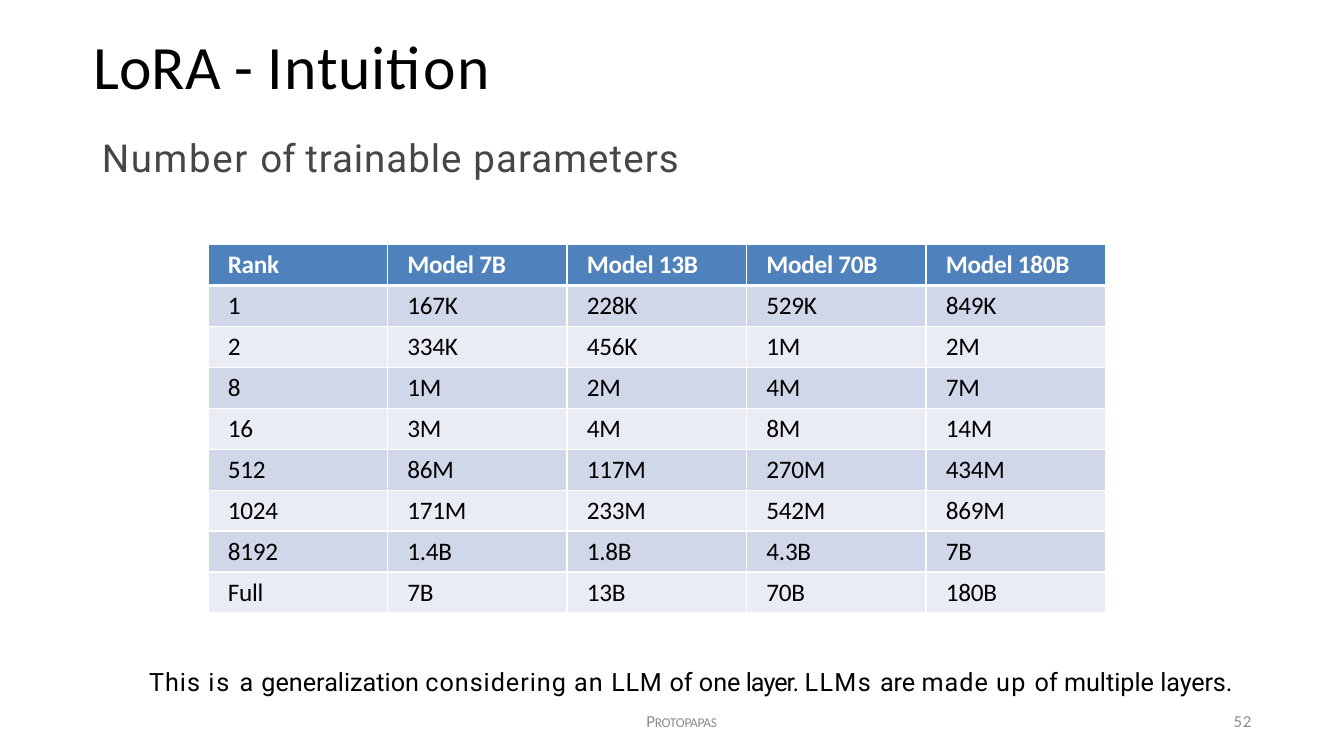
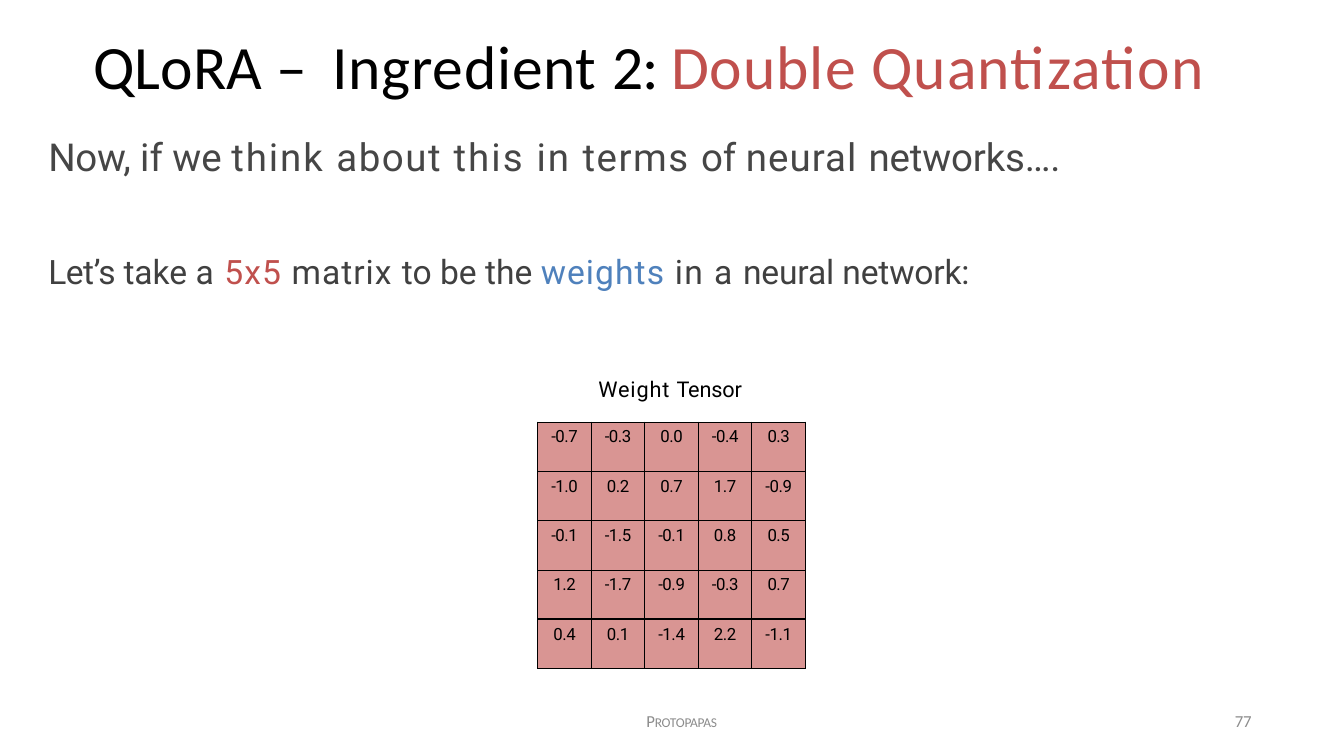
from dataclasses import dataclass
from typing import NamedTuple

from lxml import etree
from pptx import Presentation
from pptx.dml.color import RGBColor
from pptx.enum.text import MSO_ANCHOR, MSO_AUTO_SIZE, PP_ALIGN
from pptx.oxml.ns import qn
from pptx.util import Emu, Pt

LEFT, MID, RIGHT = PP_ALIGN.LEFT, PP_ALIGN.CENTER, PP_ALIGN.RIGHT
TOP, CENTER = MSO_ANCHOR.TOP, MSO_ANCHOR.MIDDLE
NO_FIT = MSO_AUTO_SIZE.NONE
SCALE = 9525
HEAD, BODY = "Calibri", "Roboto"
COLORS = {
    "black": "000000", "white": "FFFFFF", "slate": "464646", "dark": "404040",
    "gray": "8C8C8C", "red": "C0504D", "blue": "4F81BC", "rose": "D99593",
    "band": "D0D7E8", "pale": "E9ECF4",
}


class Bit(NamedTuple):
    """A run of text with its letter spacing and an optional colour."""
    text: str
    track: float = 0
    color: str = ""


@dataclass
class Look:
    """The shared type style of a paragraph or cell."""
    font: str
    size: float
    color: str
    align: PP_ALIGN = LEFT
    bold: bool = False
    small: bool = False


@dataclass
class Line:
    """A paragraph made of bits."""
    bits: list[Bit]
    look: Look
    gap: float = 0


@dataclass
class Box:
    """A text box in px."""
    left: int
    top: int
    width: int
    height: int
    lines: list[Line]
    anchor: MSO_ANCHOR = TOP


@dataclass
class Grid:
    """A table with equal cells in px and one heavy rule."""
    left: int
    top: int
    width: int
    height: int
    rows: list[list[str]]
    fills: list[str]
    looks: list[Look]
    track: float
    inset: int
    edge: str
    thin: float
    thick: float
    heavy: int


TITLE = Look(HEAD, 44, "black")
LEAD = Look(BODY, 27.5, "slate")
TEXT = Look(BODY, 24, "dark")
NOTE = Look(BODY, 18, "black")
LABEL = Look(BODY, 15.5, "black")
NAME = Look(HEAD, 12, "gray", MID, small=True)
PAGE = Look(HEAD, 12, "gray", RIGHT)
TOP_CELL = Look(HEAD, 18, "white", bold=True)
CELL = Look(HEAD, 18, "black")
WEIGHT = Look(BODY, 12, "black", MID)


def px(count: float) -> Emu:
    """Turn px into EMU."""
    return Emu(int(count * SCALE))


def style(run, look: Look, track: float, color: str = "") -> None:
    """Format one run."""
    font = run.font
    font.name, font.size, font.bold = look.font, Pt(look.size), look.bold
    font.color.rgb = RGBColor.from_string(COLORS[color or look.color])
    props = run._r.get_or_add_rPr()
    props.set("spc", str(round(track * 100)))
    if look.small:
        props.set("cap", "small")


def fill_text(frame, lines: list[Line], anchor: MSO_ANCHOR) -> None:
    """Write lines into a frame without margins."""
    frame.word_wrap, frame.auto_size = True, NO_FIT
    frame.vertical_anchor = anchor
    frame.margin_left = frame.margin_right = 0
    frame.margin_top = frame.margin_bottom = 0
    for rank, line in enumerate(lines):
        para = frame.add_paragraph() if rank else frame.paragraphs[0]
        para.alignment = line.look.align
        para.space_before = Pt(line.gap)
        for bit in line.bits:
            run = para.add_run()
            run.text = bit.text
            style(run, line.look, bit.track, bit.color)


def draw_box(slide, box: Box) -> None:
    """Draw a text box."""
    shape = slide.shapes.add_textbox(
        px(box.left), px(box.top), px(box.width), px(box.height))
    fill_text(shape.text_frame, box.lines, box.anchor)


def draw_edge(cell, side: str, color: str, width: float) -> None:
    """Add one border to a cell."""
    props = cell._tc.get_or_add_tcPr()
    line = etree.SubElement(props, qn(f"a:ln{side}"), w=str(int(Pt(width))))
    solid = etree.SubElement(line, qn("a:solidFill"))
    etree.SubElement(solid, qn("a:srgbClr"), val=COLORS[color])


def draw_grid(slide, grid: Grid) -> None:
    """Draw a table."""
    count, span = len(grid.rows), len(grid.rows[0])
    table = slide.shapes.add_table(
        count, span, px(grid.left), px(grid.top),
        px(grid.width * span), px(grid.height * count)).table
    table.first_row = table.horz_banding = False
    for col in table.columns:
        col.width = px(grid.width)
    for y, texts in enumerate(grid.rows):
        table.rows[y].height = px(grid.height)
        rules = {"L": grid.thin, "R": grid.thin,
                 "T": grid.thick if y == grid.heavy else grid.thin,
                 "B": grid.thick if y + 1 == grid.heavy else grid.thin}
        look = grid.looks[y]
        for x, text in enumerate(texts):
            cell = table.cell(y, x)
            cell.margin_left = px(grid.inset)
            for side, width in rules.items():
                draw_edge(cell, side, grid.edge, width)
            cell.fill.solid()
            cell.fill.fore_color.rgb = RGBColor.from_string(COLORS[grid.fills[y]])
            para = cell.text_frame.paragraphs[0]
            para.text = text
            para.alignment = look.align
            style(para.runs[0], look, grid.track)


def start(deck, title: list[Bit], page: Bit):
    """Add a slide with its title and footer."""
    slide = deck.slides.add_slide(deck.slide_layouts[5])
    head = slide.shapes.title
    head.left, head.top, head.width, head.height = map(px, (89, 26, 1104, 72))
    fill_text(head.text_frame, [Line(title, TITLE)], CENTER)
    name = Line([Bit("Protopapas", -0.2)], NAME)
    draw_box(slide, Box(432, 667, 432, 38, [name], CENTER))
    draw_box(slide, Box(904, 667, 288, 38, [Line([page], PAGE)], CENTER))
    return slide


RANKS = [
    ["Rank", "Model 7B", "Model 13B", "Model 70B", "Model 180B"],
    ["1", "167K", "228K", "529K", "849K"],
    ["2", "334K", "456K", "1M", "2M"],
    ["8", "1M", "2M", "4M", "7M"],
    ["16", "3M", "4M", "8M", "14M"],
    ["512", "86M", "117M", "270M", "434M"],
    ["1024", "171M", "233M", "542M", "869M"],
    ["8192", "1.4B", "1.8B", "4.3B", "7B"],
    ["Full", "7B", "13B", "70B", "180B"],
]
TENSOR = [
    ["-0.7", "-0.3", "0.0", "-0.4", "0.3"],
    ["-1.0", "0.2", "0.7", "1.7", "-0.9"],
    ["-0.1", "-1.5", "-0.1", "0.8", "0.5"],
    ["1.2", "-1.7", "-0.9", "-0.3", "0.7"],
    ["0.4", "0.1", "-1.4", "2.2", "-1.1"],
]


def add_ranks(deck) -> None:
    """Build the slide on trainable parameters."""
    slide = start(deck, [Bit("LoRA - "), Bit("Intuition", 0.7)], Bit("52", 0.7))
    lead = [Bit("Number ", 1.2), Bit("of "), Bit("trainable ", 0.7),
            Bit("parameters", 0.8)]
    draw_box(slide, Box(97, 128, 620, 48, [Line(lead, LEAD)]))
    draw_grid(slide, Grid(
        198, 233, 171, 39, RANKS, ["blue"] + ["band", "pale"] * 4,
        [TOP_CELL] + [CELL] * 8, -0.2, 19, "white", 0.96, 3, 1))
    note = [Bit("This ", 0.7), Bit("is ", 1.4), Bit("a ", 0.7),
            Bit("generalization "), Bit("considering an ", 0.7),
            Bit("LLM ", 0.5), Bit("of one"), Bit(" layer. ", -0.7),
            Bit("LLMs ", 1), Bit("are "), Bit("made ", 0.7), Bit("up ", 1),
            Bit("of multiple "), Bit("layers.", -0.1)]
    draw_box(slide, Box(142, 635, 1060, 30, [Line(note, NOTE)]))


def add_tensor(deck) -> None:
    """Build the slide on the weight tensor."""
    slide = start(deck, [
        Bit("QLoRA "), Bit("– ", 4.1), Bit("Ingredient ", 0.5),
        Bit("2: ", -1.1), Bit("Double Quantization", 0.7, "red")],
        Bit("77", -0.3))
    label = [Bit("Weight ", 0.6), Bit("Tensor", -0.1)]
    draw_box(slide, Box(570, 358, 160, 28, [Line(label, LABEL)]))
    draw_grid(slide, Grid(
        512, 402, 51, 47, TENSOR, ["rose"] * 5, [WEIGHT] * 5,
        -0.3, 10, "black", 0.75, 1.47, 4))
    lead = [Bit("Now, ", -0.2), Bit("if we "), Bit("think ", 1.4),
            Bit("about ", 1.1), Bit("this ", 1.5), Bit("in ", 1.4),
            Bit("terms ", 1.1), Bit("of "), Bit("neural ", 0.8),
            Bit("networks….", -0.1)]
    text = [Bit("Let’s ", -0.3), Bit("take "), Bit("a ", 0.8),
            Bit("5x5 ", 0.8, "red"), Bit("matrix ", 0.7), Bit("to be the "),
            Bit("weights ", 0.8, "blue"), Bit("in ", 1), Bit("a ", 0.8),
            Bit("neural network:", -0.1)]
    draw_box(slide, Box(46, 127, 1000, 160,
                        [Line(lead, LEAD), Line(text, TEXT, 51)]))


def main() -> None:
    """Build and save the deck."""
    deck = Presentation()
    deck.slide_width, deck.slide_height = px(1280), px(720)
    add_ranks(deck)
    add_tensor(deck)
    deck.save("out.pptx")


if __name__ == "__main__":
    main()
